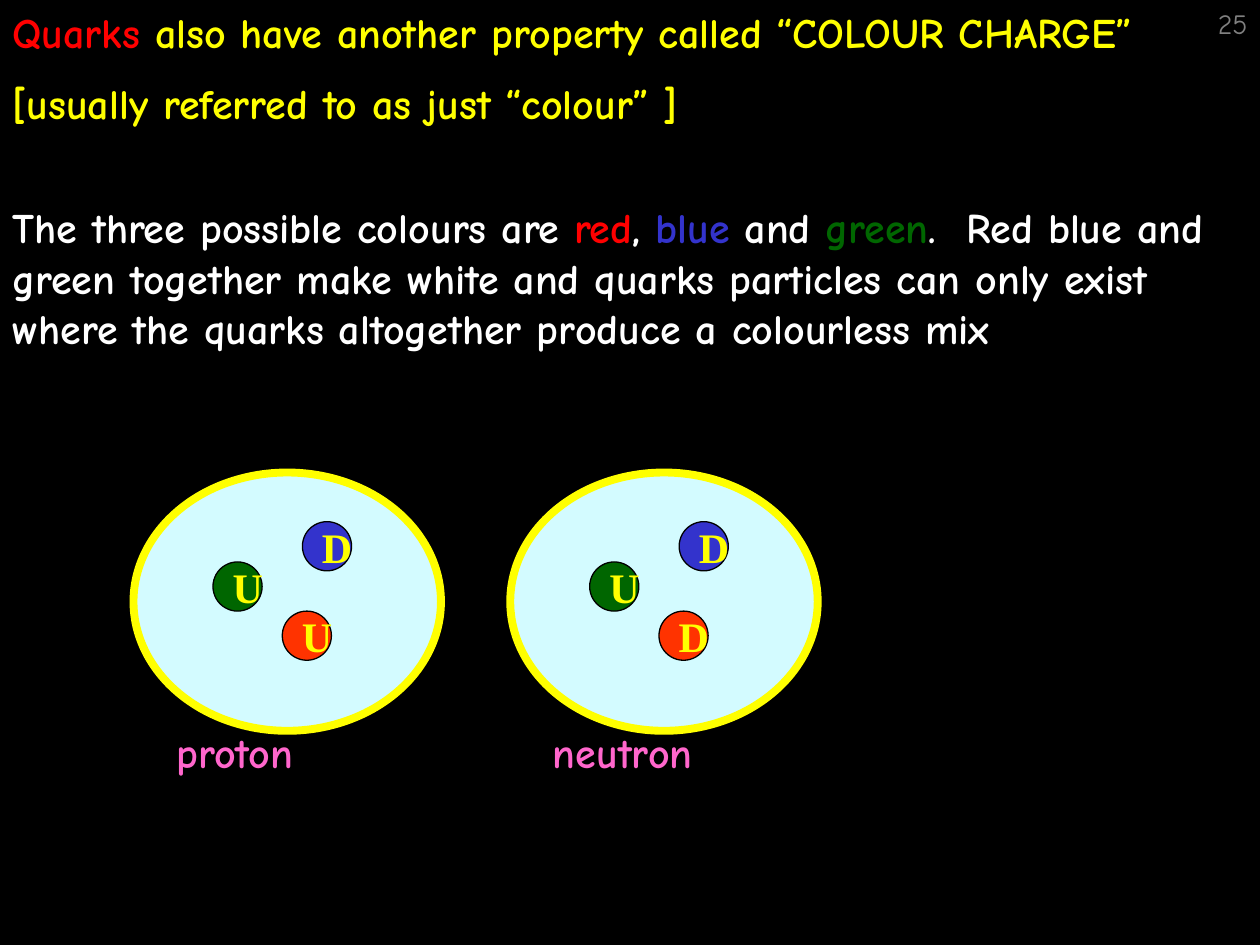
from dataclasses import dataclass

from lxml.etree import SubElement
from pptx import Presentation
from pptx.dml.color import RGBColor as RGB
from pptx.enum.shapes import MSO_SHAPE as Shape
from pptx.enum.text import MSO_ANCHOR as Anchor, MSO_AUTO_SIZE as AutoSize, PP_ALIGN as Align
from pptx.oxml.ns import qn
from pptx.util import Inches, Pt


@dataclass(frozen=True)
class Theme:
    font: str = "Comic Neue"
    quark_font: str = "Times New Roman"
    text_size: int = 24
    number_size: int = 16
    background: str = "000000"
    outline: str = "000000"
    number: str = "808080"
    yellow: str = "FFFF00"
    white: str = "FFFFFF"
    red: str = "FF0000"
    blue: str = "3333CC"
    green: str = "006600"
    pink: str = "FF66CC"
    nucleon: str = "D3FBFF"
    red_quark: str = "FF3300"


THEME = Theme()


@dataclass(frozen=True)
class Run:
    text: str
    color: str


@dataclass(frozen=True)
class QuarkSpot:
    """Quark position, measured from the corner of its nucleon."""
    dx: float
    dy: float
    color: str


@dataclass(frozen=True)
class Nucleon:
    name: str
    left: float
    flavours: str


TOP, WIDTH, HEIGHT, QUARK = 3.75, 2.44, 2.05, 0.39
SPOTS = (
    QuarkSpot(0.63, 0.71, THEME.green),
    QuarkSpot(1.18, 1.1, THEME.red_quark),
    QuarkSpot(1.34, 0.39, THEME.blue),
)
NUCLEONS = (Nucleon("proton", 1.06, "UUD"), Nucleon("neutron", 4.05, "UDD"))

HEADING = (
    (Run("Quarks", THEME.red),
     Run(" also have another property called “COLOUR CHARGE”", THEME.yellow)),
    (Run("[usually referred to as just “colour” ]", THEME.yellow),),
)
EXPLANATION = ((
    Run("The three possible colours are ", THEME.white),
    Run("red", THEME.red),
    Run(", ", THEME.white),
    Run("blue ", THEME.blue),
    Run("and ", THEME.white),
    Run("green", THEME.green),
    Run(".  Red blue and green together make white and quarks particles can only exist "
        "where the quarks altogether produce a colourless mix", THEME.white),
),)


def place(sp, left: float, top: float, width: float, height: float) -> None:
    sp.left, sp.top, sp.width, sp.height = map(Inches, (left, top, width, height))


def write(sp, paragraphs, size: int = THEME.text_size, font: str = THEME.font,
          bold: bool = True, align=Align.LEFT, anchor=Anchor.TOP, wrap: bool = True) -> None:
    tf = sp.text_frame
    tf.word_wrap, tf.auto_size, tf.vertical_anchor = wrap, AutoSize.NONE, anchor
    for i, runs in enumerate(paragraphs):
        p = tf.add_paragraph() if i else tf.paragraphs[0]
        p.alignment = align
        p.space_before = Pt(size / 2 if i else 0)
        for run in runs:
            r = p.add_run()
            r.text = run.text
            r.font.name, r.font.size, r.font.bold = font, Pt(size), bold
            r.font.color.rgb = RGB.from_string(run.color)


def remove_bullet(p) -> None:
    pPr = p._p.get_or_add_pPr()
    pPr.set("marL", "0")
    pPr.set("indent", "0")
    SubElement(pPr, qn("a:buNone"))


def add_ellipse(shapes, left: float, top: float, width: float, height: float,
                fill: str, line: str, weight: float):
    sp = shapes.add_shape(Shape.OVAL, *map(Inches, (left, top, width, height)))
    sp.shadow.inherit = False
    sp.fill.solid()
    sp.fill.fore_color.rgb = RGB.from_string(fill)
    sp.line.color.rgb = RGB.from_string(line)
    sp.line.width = Pt(weight)
    return sp


def add_label(s, left: float, top: float, width: float, run: Run, **style) -> None:
    sp = s.shapes.add_textbox(*map(Inches, (left, top, width, 0.5)))
    write(sp, ((run,),), **style)


def add_nucleon(s, nucleon: Nucleon) -> None:
    group = s.shapes.add_group_shape()
    add_ellipse(group.shapes, nucleon.left, TOP, WIDTH, HEIGHT,
                THEME.nucleon, THEME.yellow, 4.5)
    for spot, flavour in zip(SPOTS, nucleon.flavours):
        sp = add_ellipse(group.shapes, nucleon.left + spot.dx, TOP + spot.dy, QUARK, QUARK,
                         spot.color, THEME.outline, 0.75)
        write(sp, ((Run(flavour, THEME.yellow),),), font=THEME.quark_font,
              anchor=Anchor.MIDDLE, wrap=False)
    add_label(s, nucleon.left + 0.24, 5.72, 1.89, Run(nucleon.name, THEME.pink))


def main() -> None:
    prs = Presentation()
    prs.slide_width, prs.slide_height = Inches(10), Inches(7.5)
    s = prs.slides.add_slide(prs.slide_layouts[1])
    s.background.fill.solid()
    s.background.fill.fore_color.rgb = RGB.from_string(THEME.background)

    title, body = s.placeholders
    place(title, 0, 0, 10, 1.51)
    write(title, HEADING)
    place(body, 0, 1.55, 10, 1.3)
    remove_bullet(body.text_frame.paragraphs[0])
    write(body, EXPLANATION)

    add_label(s, 7.92, 0, 2.08, Run("25", THEME.number),
              size=THEME.number_size, bold=False, align=Align.RIGHT)
    for nucleon in NUCLEONS:
        add_nucleon(s, nucleon)
    prs.save("out.pptx")


if __name__ == "__main__":
    main()
